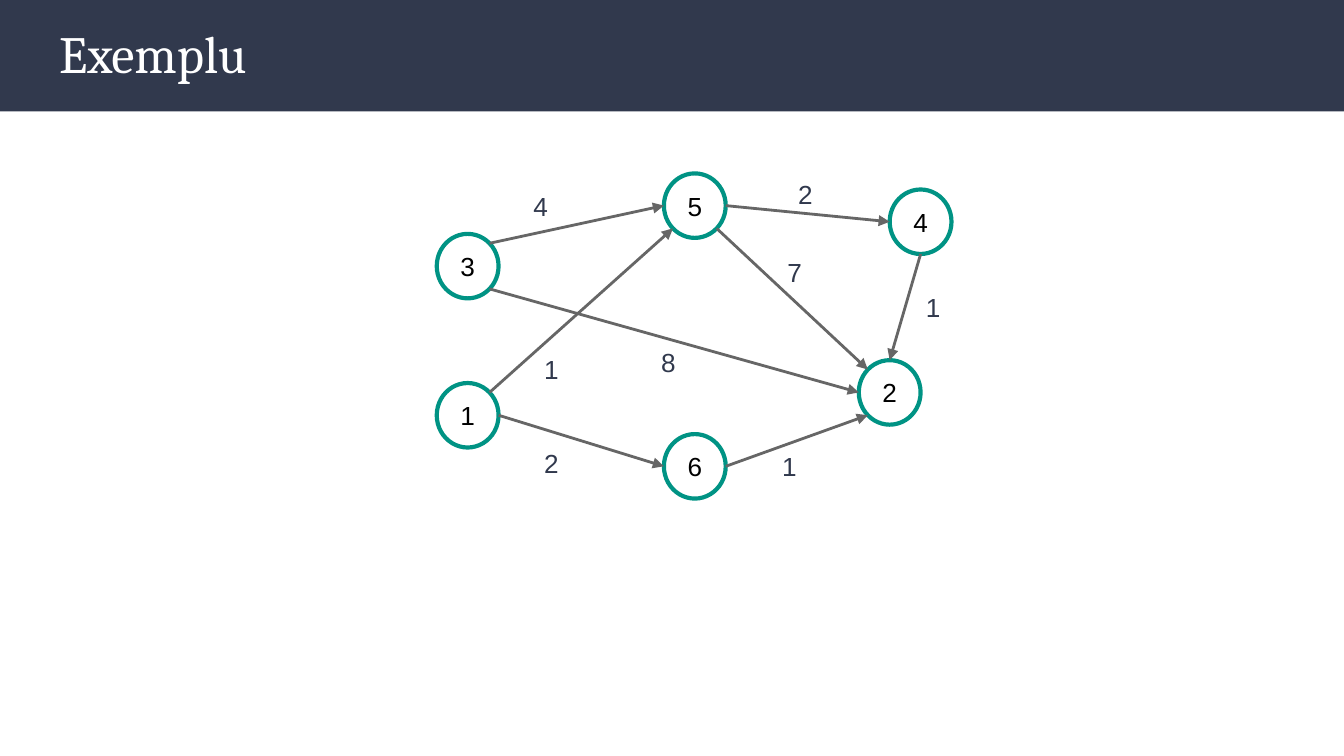
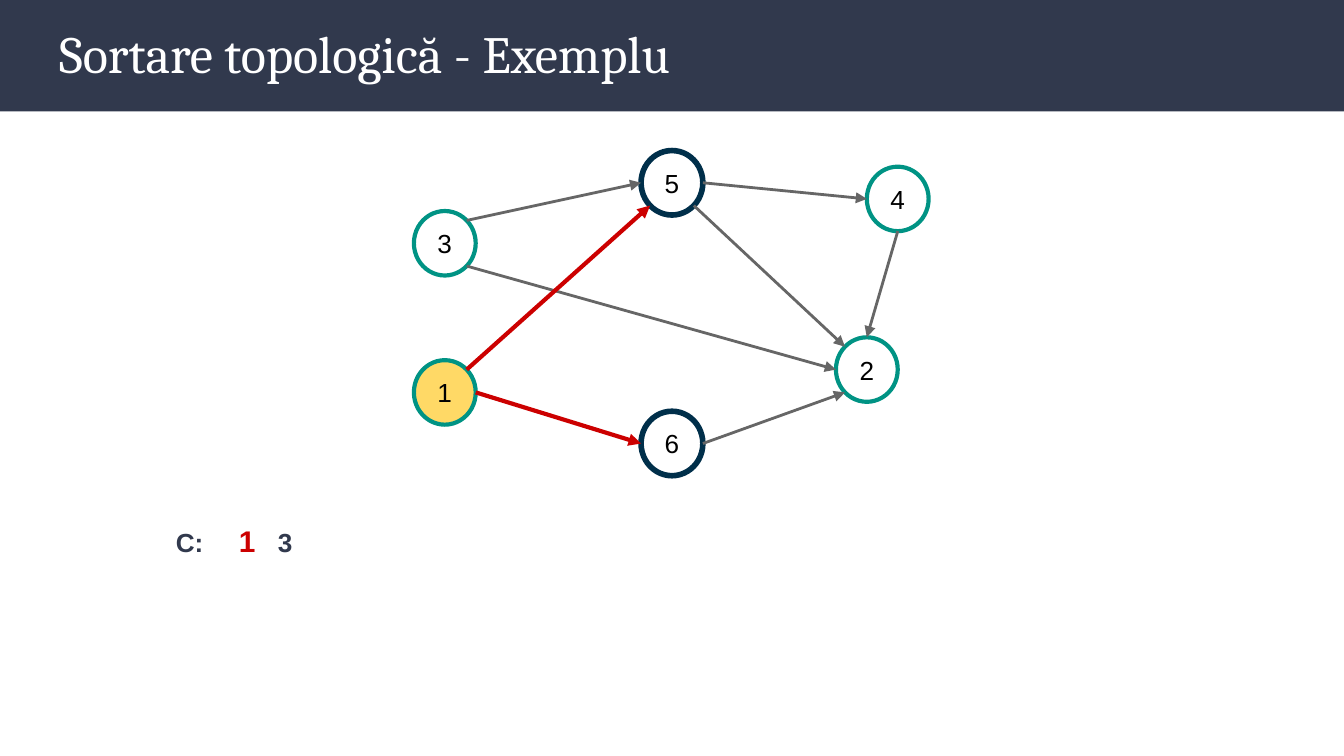
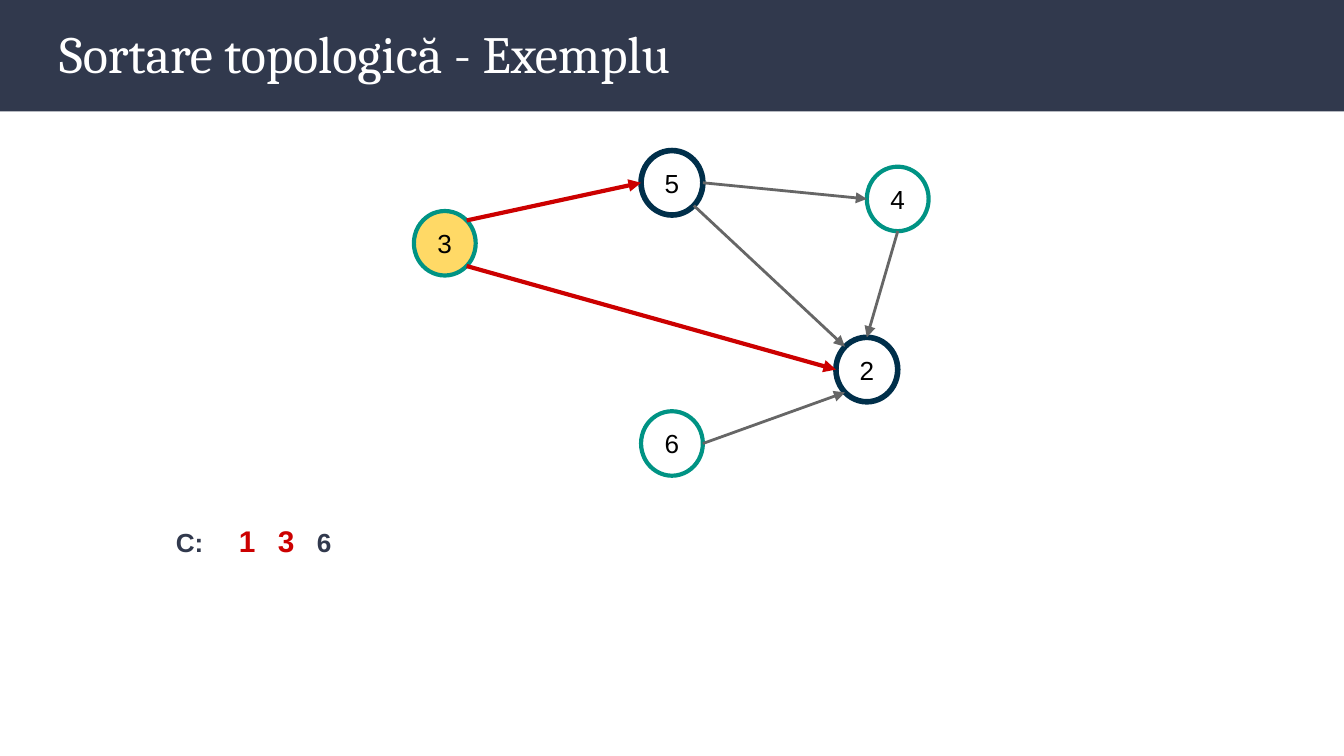
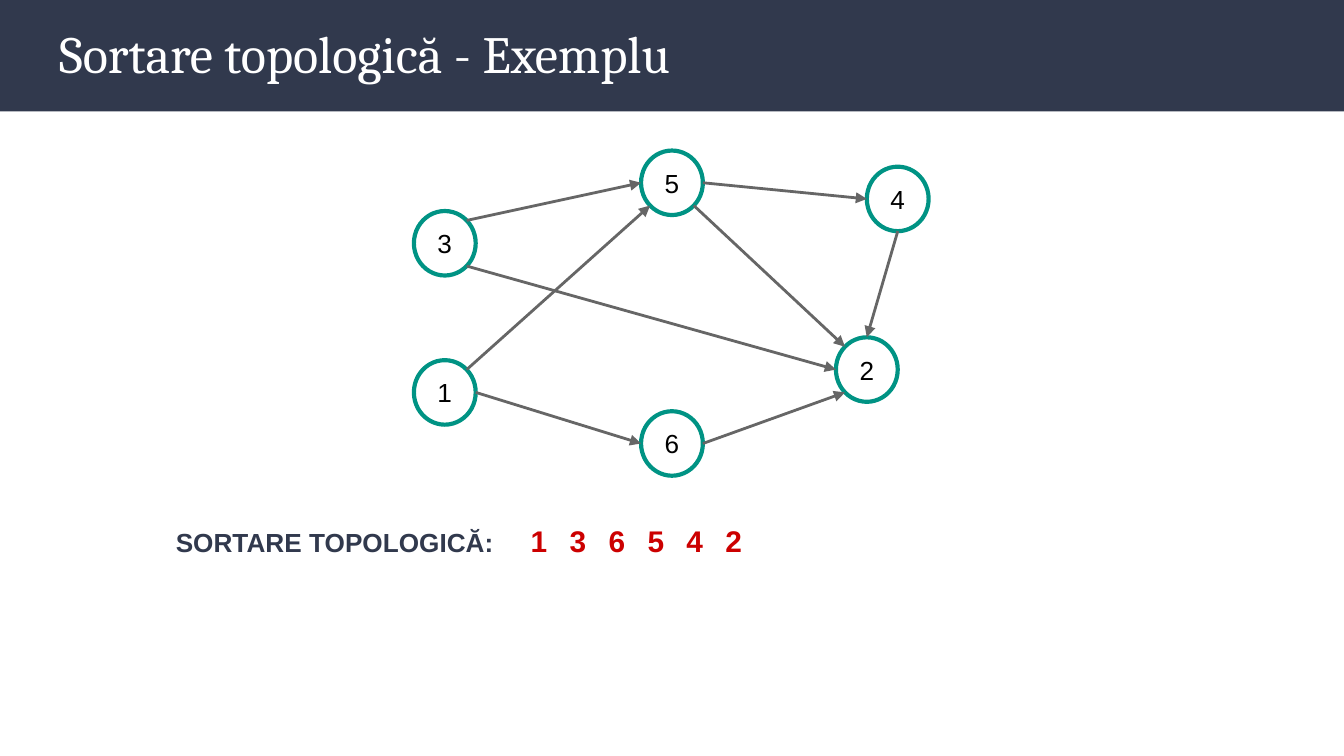
"""Build four slides that walk through a topological sort of a small graph."""
from dataclasses import dataclass
from math import cos, radians, sin

from lxml.etree import SubElement
from pptx import Presentation
from pptx.dml.color import RGBColor
from pptx.enum.shapes import MSO_CONNECTOR, MSO_SHAPE
from pptx.enum.text import MSO_ANCHOR, MSO_AUTO_SIZE, PP_ALIGN
from pptx.oxml.ns import qn
from pptx.util import Inches, Pt


@dataclass(frozen=True)
class Theme:
    navy: str = "31394D"
    white: str = "FFFFFF"
    black: str = "000000"
    teal: str = "009384"
    dark: str = "002F4A"
    gray: str = "666666"
    red: str = "CC0000"
    gold: str = "FFD966"
    serif: str = "Cambria"
    sans: str = "Arial"
    head: float = 28
    big: float = 16
    base: float = 14
    thin: float = 1.5
    mid: float = 2.25
    thick: float = 3


WIDE, TALL = 0.46, 0.48
SHIFT = -0.17
STEP = 0.29
NODES = {
    1: (3.25, 2.85),
    2: (6.39, 2.68),
    5: (4.94, 1.29),
    6: (4.94, 3.23),
    4: (6.62, 1.41),
    3: (3.25, 1.74),
}
ANGLES = {"E": 0, "SE": 45, "S": 90, "SW": 135, "W": 180, "NW": 225, "N": 270, "NE": 315}
EDGES = [
    (3, "NE", 5, "W"),
    (3, "SE", 2, "W"),
    (1, "NE", 5, "SW"),
    (1, "E", 6, "W"),
    (6, "E", 2, "SW"),
    (5, "SE", 2, "NW"),
    (5, "E", 4, "W"),
    (4, "S", 2, "N"),
]
COSTS = [
    ("4", 3.87, 1.32),
    ("1", 3.95, 2.53),
    ("1", 5.72, 3.25),
    ("1", 6.79, 2.07),
    ("8", 4.82, 2.48),
    ("7", 5.76, 1.81),
    ("2", 3.95, 3.23),
    ("2", 5.84, 1.23),
]


def tint(hue):
    return RGBColor.from_string(hue)


def place(shape, *box):
    shape.left, shape.top, shape.width, shape.height = map(Inches, box)


def rim(node, side, shift):
    left, top = NODES[node]
    turn = radians(ANGLES[side])
    return (
        Inches(left + shift + WIDE / 2 * (1 + cos(turn))),
        Inches(top + shift + TALL / 2 * (1 + sin(turn))),
    )


class Deck:
    def __init__(self, theme):
        self.theme = theme
        self.show = Presentation()
        self.show.slide_width = Inches(10)
        self.show.slide_height = Inches(10) * 9 // 16
        self.layout = self.show.slide_layouts[5]
        self.slide = None

    def page(self, title):
        first = self.slide is None
        self.slide = self.show.slides.add_slide(self.layout)
        if first:
            self.band()
        head = self.slide.shapes.title
        place(head, 0.34, 0.05, 9.32, 0.68)
        frame = head.text_frame
        frame.auto_size = MSO_AUTO_SIZE.NONE
        frame.vertical_anchor = MSO_ANCHOR.MIDDLE
        self.inset(frame, 0.1)
        para = frame.paragraphs[0]
        para.alignment = PP_ALIGN.LEFT
        self.run(para, title, self.theme.head, self.theme.white, face=self.theme.serif)

    def band(self):
        bar = self.slide.shapes.add_shape(
            MSO_SHAPE.RECTANGLE, 0, 0, self.show.slide_width, Inches(0.83)
        )
        bar.shadow.inherit = False
        bar.fill.solid()
        bar.fill.fore_color.rgb = tint(self.theme.navy)
        bar.line.fill.background()
        self.layout.shapes.element.insert(2, bar.element)

    def inset(self, frame, gap):
        frame.margin_left = frame.margin_right = Inches(gap)
        frame.margin_top = frame.margin_bottom = Inches(gap)

    def run(self, para, text, size, hue, bold=False, face=None):
        run = para.add_run()
        run.text = text
        run.font.name = face or self.theme.sans
        run.font.size = Pt(size)
        run.font.bold = bold
        run.font.color.rgb = tint(hue)

    def node(self, group, name, shift, fill, hue, width):
        left, top = NODES[name]
        disc = group.shapes.add_shape(
            MSO_SHAPE.OVAL, Inches(left + shift), Inches(top + shift), Inches(WIDE), Inches(TALL)
        )
        disc.shadow.inherit = False
        if fill:
            disc.fill.solid()
            disc.fill.fore_color.rgb = tint(fill)
        else:
            disc.fill.background()
        disc.line.color.rgb = tint(hue)
        disc.line.width = Pt(width)
        frame = disc.text_frame
        frame.vertical_anchor = MSO_ANCHOR.MIDDLE
        self.inset(frame, 0.02)
        para = frame.paragraphs[0]
        para.alignment = PP_ALIGN.CENTER
        self.run(para, str(name), self.theme.base, self.theme.black)

    def arrow(self, group, start, end, hue, width):
        edge = group.shapes.add_connector(MSO_CONNECTOR.STRAIGHT, *start, *end)
        edge.line.color.rgb = tint(hue)
        edge.line.width = Pt(width)
        props = edge.element.spPr
        SubElement(props.find(qn("a:ln")), qn("a:tailEnd"), type="triangle")
        SubElement(props, qn("a:effectLst"))

    def text(self, shapes, *box):
        note = shapes.add_textbox(*map(Inches, box))
        frame = note.text_frame
        frame.word_wrap = True
        frame.auto_size = MSO_AUTO_SIZE.SHAPE_TO_FIT_TEXT
        self.inset(frame, 0.1)
        return frame.paragraphs[0]

    def graph(self, shift=0, pick=None, gone=()):
        look = self.theme
        group = self.slide.shapes.add_group_shape()
        near = {end for start, _, end, _ in EDGES if start == pick}
        for name in NODES:
            if name not in gone:
                ring = (look.dark, look.thick) if name in near else (look.teal, look.mid)
                self.node(group, name, shift, look.gold if name == pick else None, *ring)
        for start, out, end, into in EDGES:
            if start not in gone:
                pen = (look.red, look.mid) if start == pick else (look.gray, look.thin)
                self.arrow(group, rim(start, out, shift), rim(end, into, shift), *pen)
        return group

    def costs(self, group):
        for cost, left, top in COSTS:
            para = self.text(group.shapes, left, top, 0.35, 0.44)
            self.run(para, cost, self.theme.base, self.theme.navy)

    def queue(self, label, first, items, done):
        look = self.theme
        para = self.text(self.slide.shapes, 1.21, 3.79, 7.84, 0.47)
        self.run(para, label, look.base, look.navy, bold=True)
        stops = SubElement(para._p.get_or_add_pPr(), qn("a:tabLst"))
        for rank, item in enumerate(items):
            SubElement(stops, qn("a:tab"), pos=str(Inches(first + rank * STEP)), algn="l")
            pen = (look.big, look.red) if rank < done else (look.base, look.navy)
            self.run(para, f"\t{item}", *pen, bold=True)


def main():
    deck = Deck(Theme())
    deck.page("Exemplu")
    deck.costs(deck.graph())
    steps = [
        ("C:", 0.47, "13", 1, 1, ()),
        ("C:", 0.47, "136", 2, 3, (1,)),
        ("SORTARE TOPOLOGICĂ:", 2.64, "136542", 6, None, ()),
    ]
    for label, first, items, done, pick, gone in steps:
        deck.page("Sortare topologică - Exemplu")
        deck.queue(label, first, items, done)
        deck.graph(SHIFT, pick, gone)
    deck.show.save("out.pptx")


if __name__ == "__main__":
    main()
